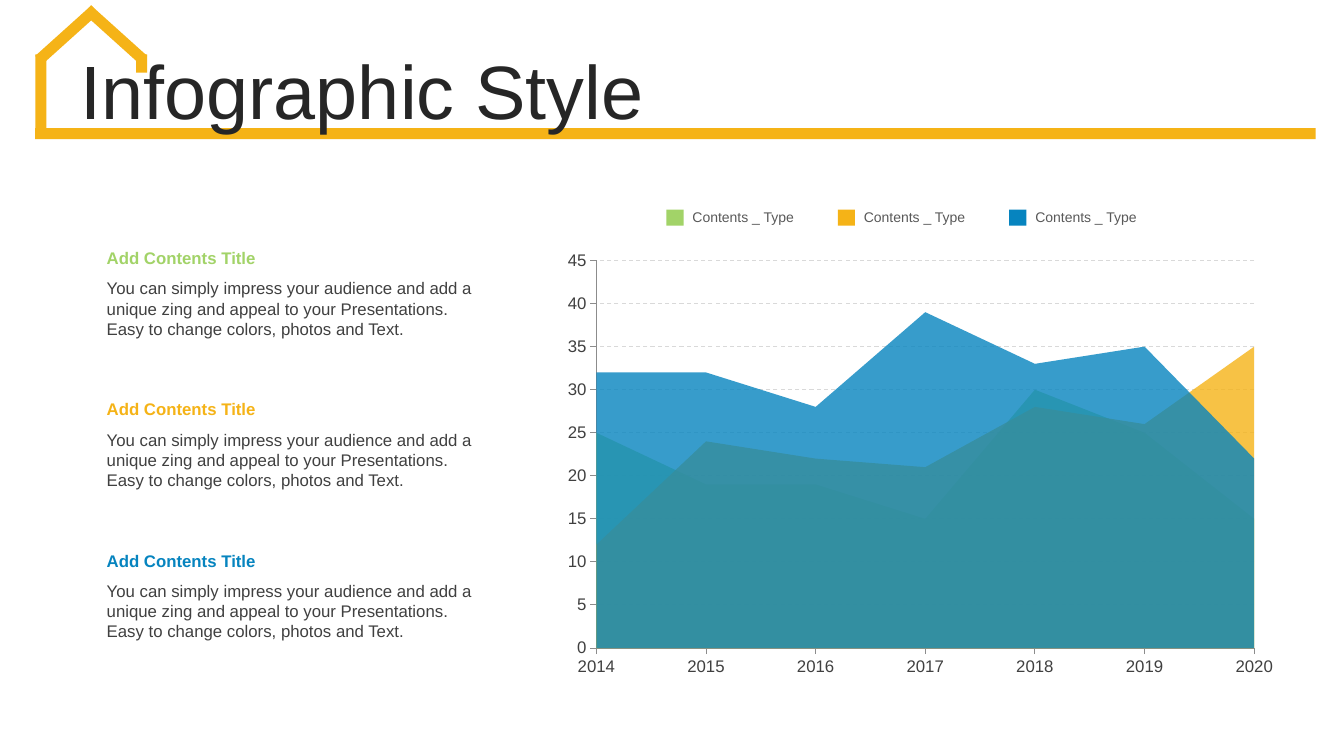
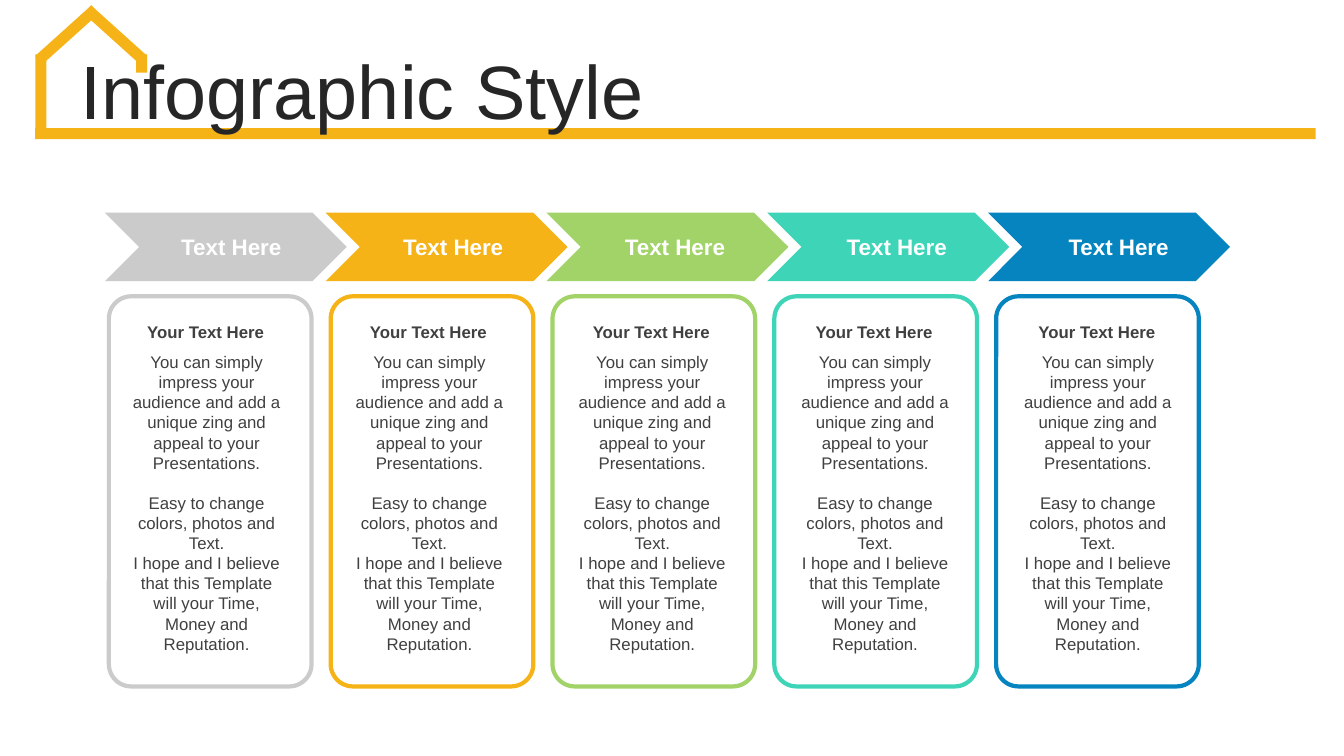
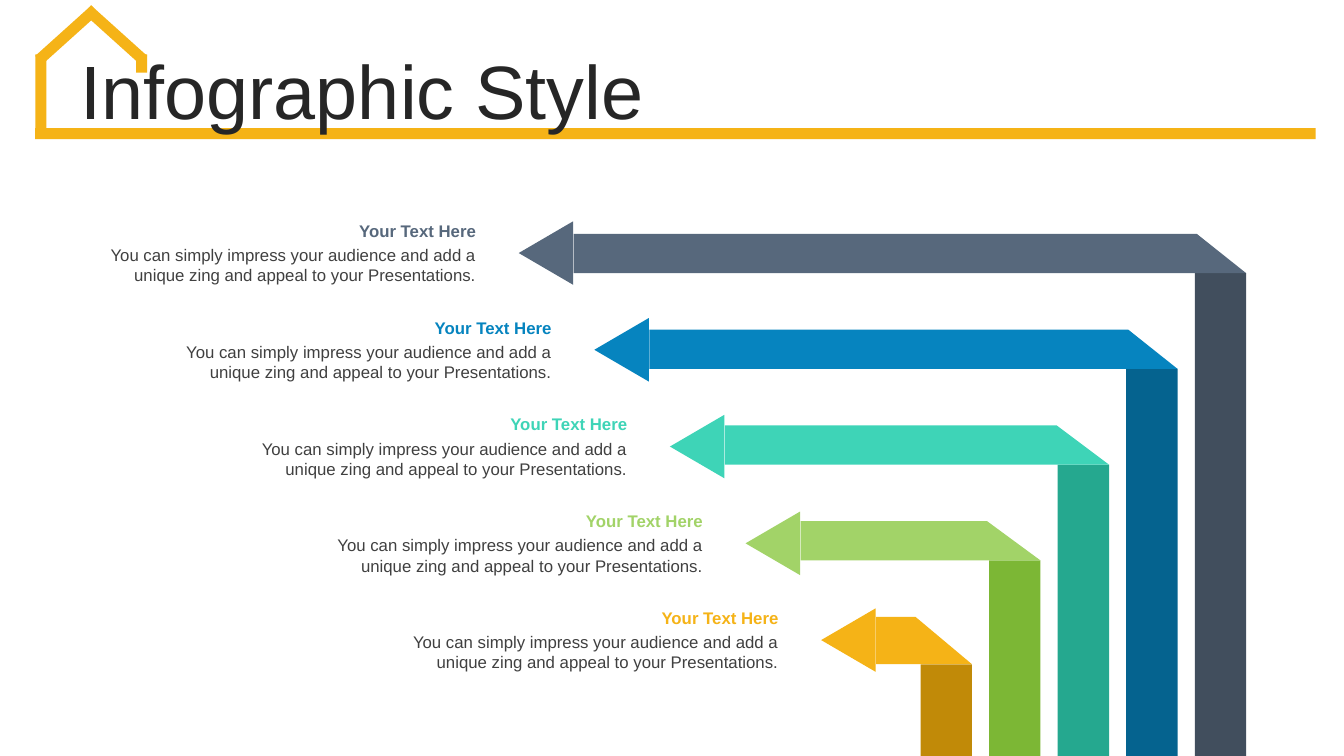
import pptx
import pptx.chart.data
import pptx.dml.color
import pptx.enum.chart
import pptx.enum.dml
import pptx.enum.shapes
import pptx.enum.text
import pptx.oxml
import pptx.oxml.ns
import pptx.util
from pptx.dml.color import RGBColor
from pptx.enum.shapes import MSO_SHAPE
from pptx.enum.text import MSO_ANCHOR, MSO_AUTO_SIZE, PP_ALIGN
from pptx.util import Inches, Pt

FONT = "Arial"
AMBER = RGBColor(0xF5, 0xB3, 0x17)
GREEN = RGBColor(0xA2, 0xD3, 0x68)
BLUE = RGBColor(0x06, 0x84, 0xBF)
TEAL = RGBColor(0x3E, 0xD4, 0xB7)
SLATE = RGBColor(0x57, 0x68, 0x7C)
SILVER = RGBColor(0xCB, 0xCB, 0xCB)
DARK_AMBER = RGBColor(0xC1, 0x8A, 0x08)
DARK_GREEN = RGBColor(0x7C, 0xB7, 0x35)
DARK_BLUE = RGBColor(0x05, 0x63, 0x8F)
DARK_TEAL = RGBColor(0x25, 0xA8, 0x8F)
DARK_SLATE = RGBColor(0x41, 0x4E, 0x5D)
WHITE = RGBColor(0xFF, 0xFF, 0xFF)
TITLE_INK = RGBColor(0x26, 0x26, 0x26)
BODY_INK = RGBColor(0x40, 0x40, 0x40)
LEGEND_INK = RGBColor(0x59, 0x59, 0x59)
AXIS_GRAY = RGBColor(0x8C, 0x8C, 0x8C)
GRID_GRAY = RGBColor(0xD9, 0xD9, 0xD9)

IMPRESS = "You can simply impress your audience and add a unique zing and appeal to your Presentations."
EASY = "Easy to change colors, photos and Text."
HOPE = "I hope and I believe that this Template will your Time, Money and Reputation."


def add_block(slide, preset, color, left, top, width, height):
    block = slide.shapes.add_shape(preset, Inches(left), Inches(top), Inches(width), Inches(height))
    block.shadow.inherit = False
    block.fill.solid()
    block.fill.fore_color.rgb = color
    block.line.fill.background()
    return block


def add_text(slide, paragraphs, left, top, width, height, size=12, color=BODY_INK,
             bold=False, align=PP_ALIGN.LEFT, anchor=MSO_ANCHOR.TOP):
    box = slide.shapes.add_textbox(Inches(left), Inches(top), Inches(width), Inches(height))
    frame = box.text_frame
    frame.word_wrap = True
    frame.auto_size = MSO_AUTO_SIZE.SHAPE_TO_FIT_TEXT
    frame.vertical_anchor = anchor
    for index, words in enumerate(paragraphs):
        paragraph = frame.add_paragraph() if index else frame.paragraphs[0]
        paragraph.alignment = align
        run = paragraph.add_run()
        run.text = words
        run.font.name = FONT
        run.font.size = Pt(size)
        run.font.bold = bold
        run.font.color.rgb = color
    return frame


deck = pptx.Presentation()
deck.slide_width = Inches(13.33)
deck.slide_height = Inches(7.5)
title_only = deck.slide_layouts[5]
area_slide, process_slide, arrows_slide = [deck.slides.add_slide(title_only) for _ in range(3)]

house_strokes = [
    (0.35, 1.27, 12.7, 0.11, 0),
    (0.35, 0.54, 0.11, 0.8, 0),
    (1.35, 0.54, 0.11, 0.18, 0),
    (0.61, -0.03, 0.11, 0.75, 48),
    (1.09, -0.03, 0.11, 0.75, 312),
]
for left, top, width, height, angle in house_strokes:
    stroke = add_block(area_slide, MSO_SHAPE.RECTANGLE, AMBER, left, top, width, height)
    stroke.rotation = angle
    title_only.shapes.element.append(stroke.element)

for slide in deck.slides:
    title = slide.shapes.title
    title.left, title.top = Inches(0.7), Inches(0.55)
    title.width, title.height = Inches(12.31), Inches(0.79)
    title.text_frame.auto_size = MSO_AUTO_SIZE.NONE
    title.text_frame.word_wrap = True
    title.text_frame.vertical_anchor = MSO_ANCHOR.MIDDLE
    heading = title.text_frame.paragraphs[0]
    heading.alignment = PP_ALIGN.LEFT
    heading.line_spacing = 0.9
    heading_run = heading.add_run()
    heading_run.text = "Infographic Style"
    heading_run.font.name = FONT
    heading_run.font.size = Pt(54)
    heading_run.font.color.rgb = TITLE_INK

trend_data = pptx.chart.data.CategoryChartData()
trend_data.categories = [str(year) for year in range(2014, 2021)]
trend_data.add_series("Series 1", (32, 32, 28, 39, 33, 35, 22))
trend_data.add_series("Series 2", (12, 24, 22, 21, 28, 26, 35))
trend_data.add_series("Series 3", (25, 19, 19, 15, 30, 25, 15))
trend = area_slide.shapes.add_chart(
    pptx.enum.chart.XL_CHART_TYPE.AREA,
    Inches(5.48), Inches(2.41), Inches(7.25), Inches(4.37), trend_data).chart
trend.has_title = False
trend.has_legend = False
trend.font.name = FONT
trend.font.size = Pt(12)
trend.font.color.rgb = BODY_INK
trend.plots[0].vary_by_categories = False

for series, color in zip(trend.plots[0].series, (BLUE, AMBER, GREEN)):
    series.format.fill.solid()
    series.format.fill.fore_color.rgb = color
    series.format.line.fill.background()
    tint = series.format.fill._xPr.find(".//" + pptx.oxml.ns.qn("a:srgbClr"))
    tint.append(pptx.oxml.parse_xml(
        '<a:alpha %s val="80000"/>' % pptx.oxml.ns.nsdecls("a")))

for axis in (trend.category_axis, trend.value_axis):
    axis.major_tick_mark = pptx.enum.chart.XL_TICK_MARK.OUTSIDE
    axis.minor_tick_mark = pptx.enum.chart.XL_TICK_MARK.NONE
    axis.format.line.color.rgb = AXIS_GRAY
    axis.format.line.width = Pt(0.75)
    axis.tick_labels.font.name = FONT
    axis.tick_labels.font.size = Pt(12)
    axis.tick_labels.font.color.rgb = BODY_INK
trend.category_axis.has_major_gridlines = False
trend.value_axis.minimum_scale = 0
trend.value_axis.maximum_scale = 45
trend.value_axis.major_unit = 5
trend.value_axis.has_major_gridlines = True
gridline = trend.value_axis.major_gridlines.format.line
gridline.color.rgb = GRID_GRAY
gridline.width = Pt(0.75)
gridline.dash_style = pptx.enum.dml.MSO_LINE.DASH

plot_area = trend.element.find(".//" + pptx.oxml.ns.qn("c:plotArea"))
plot_area.find(".//" + pptx.oxml.ns.qn("c:crossBetween")).set("val", "midCat")
for old_layout in plot_area.findall(pptx.oxml.ns.qn("c:layout")):
    plot_area.remove(old_layout)
plot_area.insert(0, pptx.oxml.parse_xml(
    '<c:layout %s><c:manualLayout><c:layoutTarget val="inner"/>'
    '<c:xMode val="edge"/><c:yMode val="edge"/><c:x val="0.06"/><c:y val="0.04"/>'
    '<c:w val="0.9"/><c:h val="0.88"/></c:manualLayout></c:layout>' % pptx.oxml.ns.nsdecls("c")))

for index, color in enumerate((GREEN, AMBER, BLUE)):
    key_left = 6.61 + 1.7 * index
    add_block(area_slide, MSO_SHAPE.RECTANGLE, color, key_left, 2.08, 0.17, 0.16)
    add_text(area_slide, ["Contents _ Type"], key_left + 0.16, 2.02, 1.43, 0.27,
             size=10, color=LEGEND_INK, anchor=MSO_ANCHOR.MIDDLE)
    note_top = 2.41 + 1.5 * index
    add_text(area_slide, ["Add Contents Title"], 0.96, note_top, 3.89, 0.3, color=color, bold=True)
    add_text(area_slide, [IMPRESS + " " + EASY], 0.96, note_top + 0.3, 3.89, 0.71)

for index, color in enumerate((SILVER, AMBER, GREEN, TEAL, BLUE)):
    add_block(process_slide, MSO_SHAPE.CHEVRON, color, 1.04 + 2.19 * index, 2.11, 2.4, 0.68)
    add_text(process_slide, ["Text Here"], 1.36 + 2.2 * index, 2.26, 1.87, 0.37,
             size=16, color=WHITE, bold=True, align=PP_ALIGN.CENTER)
    card = add_block(process_slide, MSO_SHAPE.ROUNDED_RECTANGLE, WHITE,
                     1.08 + 2.2 * index, 2.94, 2.01, 3.87)
    card.adjustments[0] = 0.11
    card.line.color.rgb = color
    card.line.width = Pt(3)
    card_text_left = 1.17 + 2.21 * index
    add_text(process_slide, ["Your Text Here"], card_text_left, 3.14, 1.74, 0.3,
             bold=True, align=PP_ALIGN.CENTER)
    card_body = add_text(process_slide, [IMPRESS, EASY, HOPE], card_text_left, 3.44, 1.76, 3.13,
                         align=PP_ALIGN.CENTER)
    card_body.paragraphs[1].space_before = Pt(14)

ribbons = [
    (SLATE, DARK_SLATE, 0.49, 0.39),
    (BLUE, DARK_BLUE, 0.49, 0.39),
    (TEAL, DARK_TEAL, 0.52, 0.39),
    (GREEN, DARK_GREEN, 0.53, 0.39),
    (AMBER, DARK_AMBER, 0.56, 0.47),
]
for index, (color, shade, fold, thickness) in enumerate(ribbons):
    post_left = 11.85 - 0.68 * index
    bar_left = 5.69 + 0.75 * index
    bar_top = 2.32 + 0.95 * index
    bar_right = post_left + 0.51
    bar_bottom = bar_top + thickness
    add_block(arrows_slide, MSO_SHAPE.RECTANGLE, shade, post_left, bar_bottom, 0.51, 7.5 - bar_bottom)

    outline = arrows_slide.shapes.build_freeform(Inches(bar_left), Inches(bar_top))
    outline.add_line_segments([
        (Inches(bar_right - fold), Inches(bar_top)),
        (Inches(bar_right), Inches(bar_bottom)),
        (Inches(bar_left), Inches(bar_bottom)),
    ], close=True)
    bar = outline.convert_to_shape()
    bar.shadow.inherit = False
    bar.fill.solid()
    bar.fill.fore_color.rgb = color
    bar.line.fill.background()

    arrow_tip = add_block(arrows_slide, MSO_SHAPE.ISOSCELES_TRIANGLE, color,
                          5.1 + 0.75 * index, 2.24 + 0.96 * index, 0.63, 0.54)
    arrow_tip.rotation = 270

    label_left = 0.67 + 0.75 * index
    label_top = 2.14 + 0.96 * index
    add_text(arrows_slide, ["Your Text Here"], label_left, label_top, 4.15, 0.3,
             color=color, bold=True, align=PP_ALIGN.RIGHT)
    add_text(arrows_slide, [IMPRESS], label_left, label_top + 0.24, 4.15, 0.5, align=PP_ALIGN.RIGHT)

deck.save("out.pptx")
